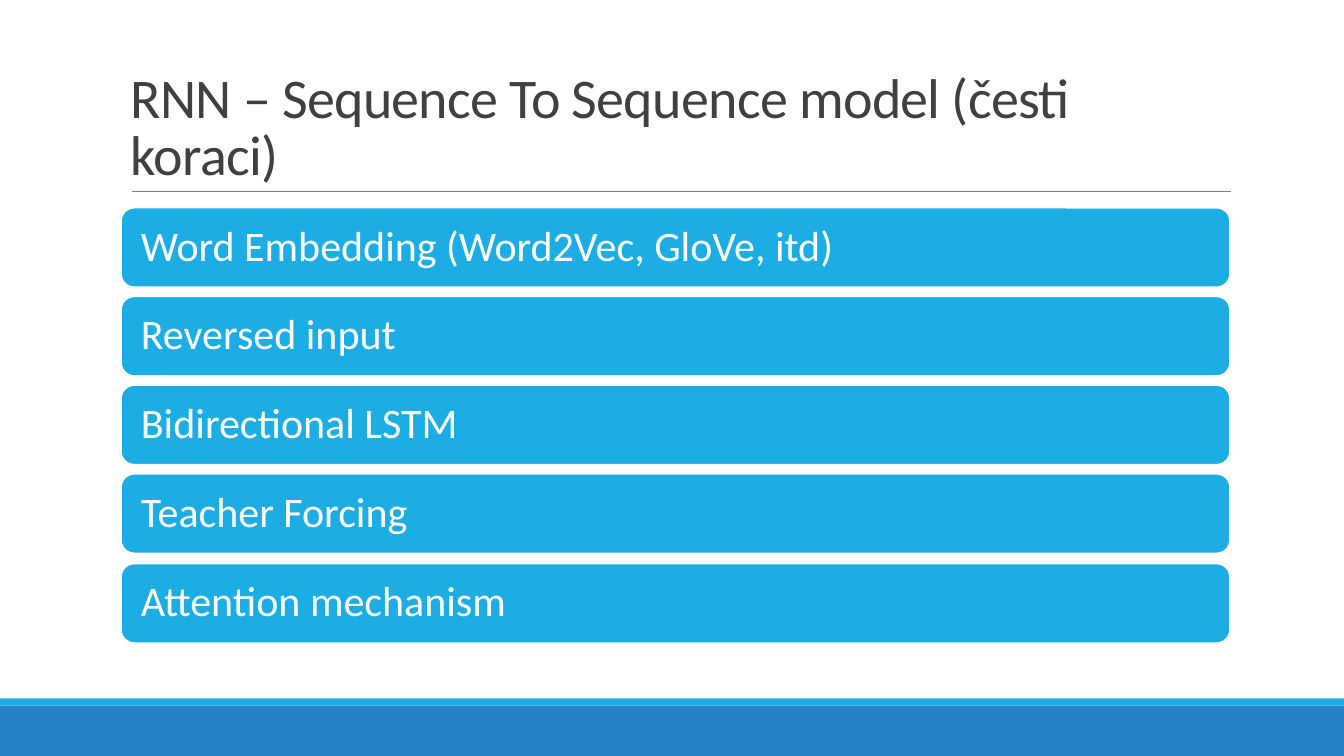
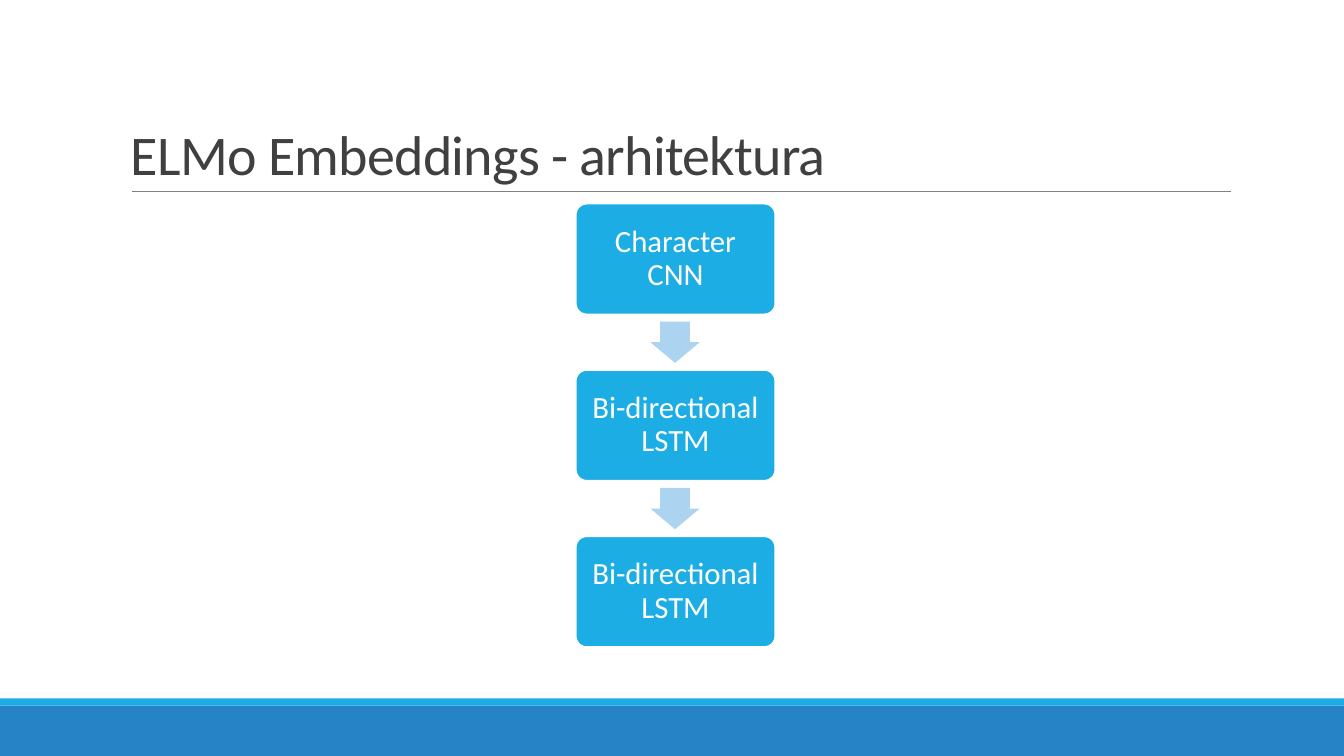
from pptx import Presentation
from pptx.dml.color import RGBColor
from pptx.enum.shapes import MSO_CONNECTOR, MSO_SHAPE
from pptx.enum.text import MSO_ANCHOR, PP_ALIGN
from pptx.oxml.ns import qn
from pptx.util import Pt
from lxml.etree import SubElement

PX = 9144
FONT = "Calibri"
COLORS = {
    "band": "2683C6",
    "box": "1CADE4",
    "arrow": "ACD3EF",
    "rule": "808080",
    "title": "404040",
    "white": "FFFFFF",
}


def draw(slide, kind, at, fill, line=None):
    shape = slide.shapes.add_shape(kind, *[n * PX for n in at])
    shape.shadow.inherit = False
    shape.fill.solid()
    shape.fill.fore_color.rgb = RGBColor.from_string(COLORS[fill])
    if line:
        shape.line.color.rgb = RGBColor.from_string(COLORS[line])
        shape.line.width = Pt(1.25)
    else:
        shape.line.fill.background()
    return shape


def write(shape, text, size, color, align, anchor, pads, space):
    frame = shape.text_frame
    frame.word_wrap = True
    frame.vertical_anchor = anchor
    frame.margin_left = frame.margin_right = pads[0] * PX
    frame.margin_top = frame.margin_bottom = pads[1] * PX
    frame.text = text
    para = frame.paragraphs[0]
    para.alignment = align
    para.line_spacing = space
    run = para.runs[0]
    run.font.name = FONT
    run.font.size = Pt(size)
    run.font.color.rgb = RGBColor.from_string(COLORS[color])
    return run


deck = Presentation()
deck.slide_width = 1333 * PX
deck.slide_height = 750 * PX

titles = [
    "RNN – Sequence To Sequence model (česti koraci)",
    "ELMo Embeddings - arhitektura",
]
slides = []
for title in titles:
    slide = deck.slides.add_slide(deck.slide_layouts[6])
    slides.append(slide)
    draw(slide, MSO_SHAPE.RECTANGLE, (0, 700, 1333, 50), "band")
    draw(slide, MSO_SHAPE.RECTANGLE, (0, 693, 1333, 7), "box")
    rule = slide.shapes.add_connector(
        MSO_CONNECTOR.STRAIGHT, 131 * PX, 190 * PX, 1221 * PX, 190 * PX
    )
    rule.line.color.rgb = RGBColor.from_string(COLORS["rule"])
    rule.line.width = Pt(0.5)
    SubElement(rule._element.spPr, qn("a:effectLst"))
    head = slide.shapes.add_textbox(120 * PX, 31 * PX, 1100 * PX, 159 * PX)
    run = write(head, title, 40, "title", PP_ALIGN.LEFT, MSO_ANCHOR.BOTTOM, (10, 5), 0.85)
    run._r.get_or_add_rPr().set("spc", "-50")

steps, flow = slides

topics = [
    "Word Embedding (Word2Vec, GloVe, itd)",
    "Reversed input",
    "Bidirectional LSTM",
    "Teacher Forcing",
    "Attention mechanism",
]
first, last = 206, 559
for i, topic in enumerate(topics):
    top = first + (last - first) * i // (len(topics) - 1)
    bar = draw(steps, MSO_SHAPE.ROUNDED_RECTANGLE, (120, top, 1100, 79), "box", "white")
    write(bar, topic, 30, "white", PP_ALIGN.LEFT, MSO_ANCHOR.MIDDLE, (16, 16), 0.9)

layers = ["Character CNN", "Bi-directional LSTM", "Bi-directional LSTM"]
for i, layer in enumerate(layers):
    top = 202 + 165 * i
    node = draw(flow, MSO_SHAPE.ROUNDED_RECTANGLE, (571, top, 198, 110), "box", "white")
    node.adjustments[0] = 0.1
    write(node, layer, 22, "white", PP_ALIGN.CENTER, MSO_ANCHOR.MIDDLE, (12, 12), 0.9)
    if i < len(layers) - 1:
        arrow = draw(flow, MSO_SHAPE.DOWN_ARROW, (645, top + 117, 49, 41), "arrow")
        arrow.adjustments[0] = 0.6
        arrow.adjustments[1] = 0.5

deck.save("out.pptx")
